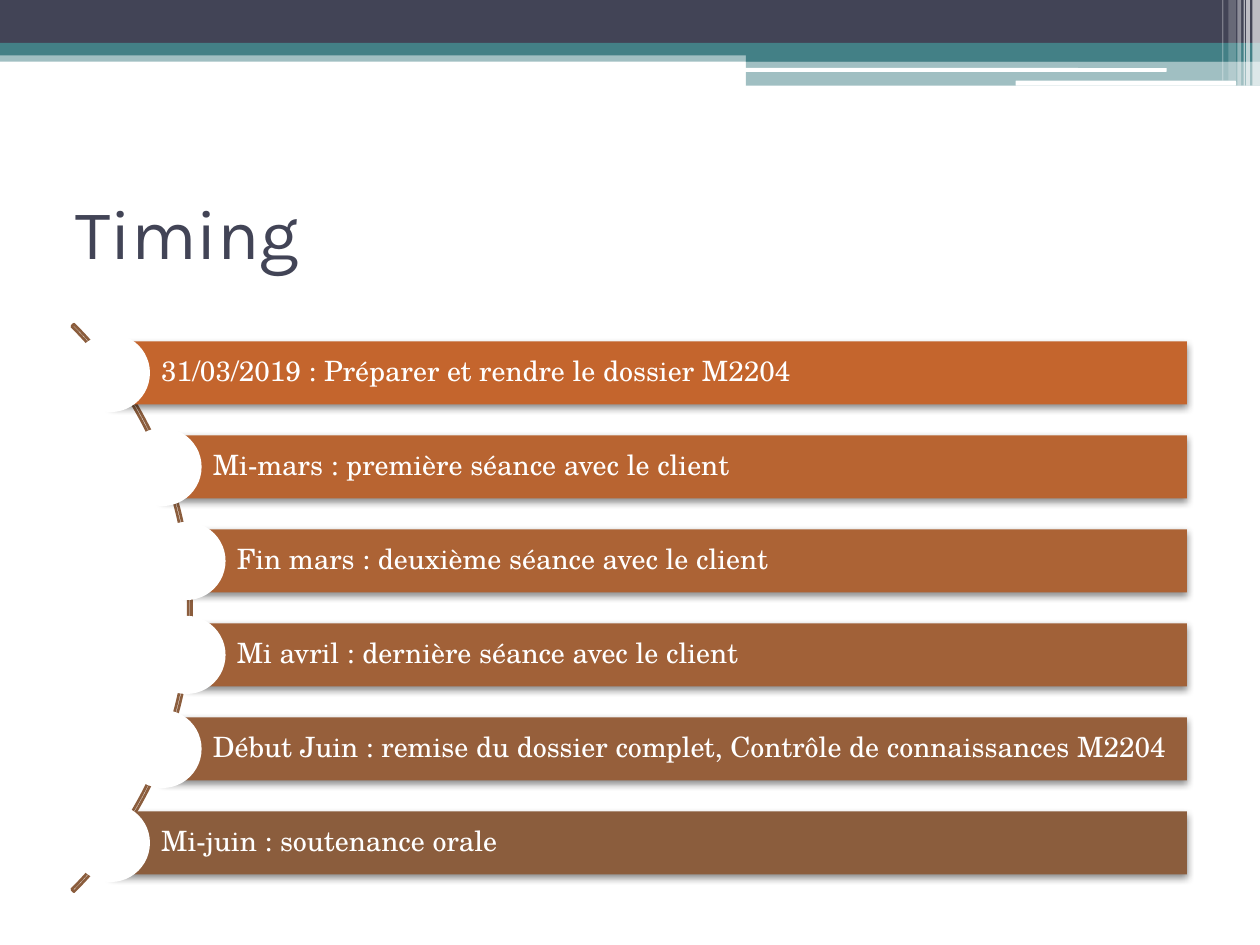
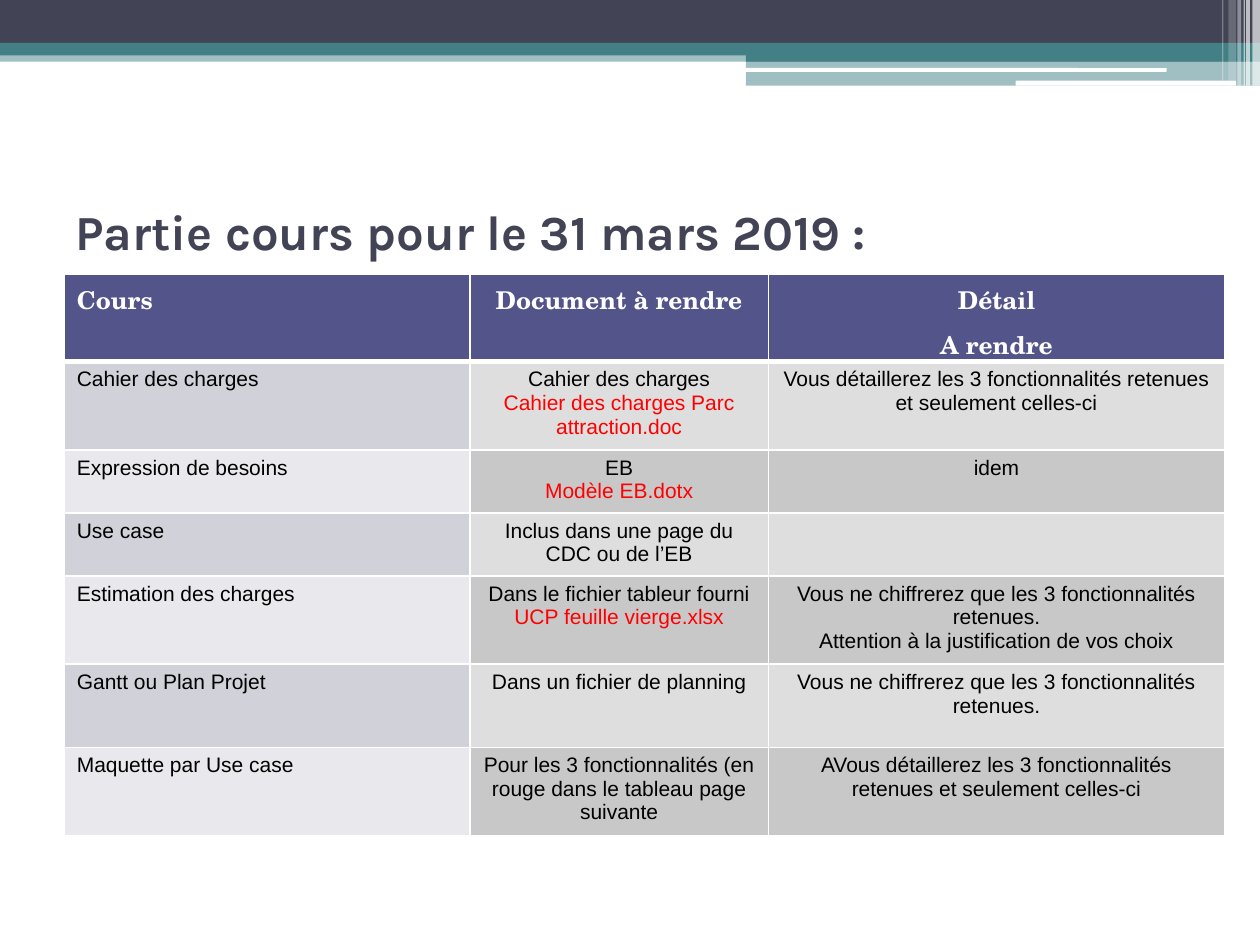
from pptx import Presentation
from pptx.dml.color import RGBColor
from pptx.enum import shapes, text
from pptx.oxml import parse_xml
from pptx.oxml.ns import nsdecls
from pptx.util import Inches, Pt

WHITE, INK, TEAL, RED, BLACK = "FFFFFF", "424456", "438086", "FF0000", "000000"
HEAD_FONT, BODY_FONT, CELL_FONT = "Karla", "TeX Gyre Schola", "Arial"
RECT, ROUND = shapes.MSO_SHAPE.RECTANGLE, shapes.MSO_SHAPE.ROUNDED_RECTANGLE
LEFT, CENTER = text.PP_ALIGN.LEFT, text.PP_ALIGN.CENTER

BANDS = [
    (RECT, (0, 0.4, 10, 0.09), TEAL, 50),
    (RECT, (0, 0, 10, 0.34), INK, 100),
    (RECT, (0, 0.34, 10, 0.1), TEAL, 100),
    (RECT, (5.92, 0.39, 4.08, 0.1), TEAL, 100),
    (RECT, (5.92, 0.48, 4.08, 0.2), TEAL, 50),
    (ROUND, (5.91, 0.54, 3.35, 0.03), WHITE, 100),
    (ROUND, (8.06, 0.64, 1.75, 0.04), WHITE, 100),
]
STRIPES = [
    (9.94, 0.06, 0.68, 65),
    (9.89, 0.03, 0.68, 65),
    (9.87, 0.01, 0.68, 60),
    (9.82, 0.03, 0.68, 40),
    (9.75, 0.06, 0.64, 20),
    (9.7, 0.01, 0.64, 30),
]
STEPS = [
    ("31/03/2019 : Préparer et rendre le dossier M2204", "C4652D"),
    ("Mi-mars : première séance avec le client", "B86431"),
    ("Fin mars : deuxième séance avec le client", "AC6335"),
    ("Mi avril : dernière séance avec le client", "A16138"),
    ("Début Juin : remise du dossier complet, Contrôle de connaissances M2204", "965F3B"),
    ("Mi-juin : soutenance orale", "8B5D3D"),
]
INDENTS = (0.31, 0.72, 0.91, 0.91, 0.72, 0.31)
HEADER = (["Cours"], ["Document à rendre"], ["Détail", "A rendre"])
COURSES = [
    (["Cahier des charges"],
     ["Cahier des charges", ("Cahier des charges Parc attraction.doc", RED)],
     ["Vous détaillerez les 3 fonctionnalités retenues et seulement celles-ci"]),
    (["Expression de besoins"], ["EB", ("Modèle EB.dotx", RED)], ["idem"]),
    (["Use case"], ["Inclus dans une page du CDC ou de l’EB"], []),
    (["Estimation des charges"],
     ["Dans le fichier tableur fourni", ("UCP feuille vierge.xlsx", RED)],
     ["Vous ne chiffrerez que les 3 fonctionnalités retenues.",
      "Attention à la justification de vos choix"]),
    (["Gantt ou Plan Projet"], ["Dans un fichier de planning"],
     ["Vous ne chiffrerez que les 3 fonctionnalités retenues."]),
    (["Maquette par Use case"],
     ["Pour les 3 fonctionnalités (en rouge dans le tableau page suivante"],
     ["AVous détaillerez les 3 fonctionnalités retenues et seulement celles-ci"]),
]
COL_WIDTHS = (3.22, 2.37, 3.62)
ROW_HEIGHTS = (0.69, 0.66, 0.47, 0.47, 0.66, 0.66, 0.66)


def rgb(value):
    """Turn a hex string into a colour."""
    return RGBColor.from_string(value)


def set_all(target, values):
    """Set each named attribute on the target."""
    for name, value in values.items():
        setattr(target, name, value)


def add_shape(s, kind, box, fill=None, alpha=100):
    """Add a flat shape without a line."""
    sp = s.shapes.add_shape(kind, *map(Inches, box))
    sp.shadow.inherit = False
    sp.line.fill.background()
    if fill is None:
        sp.fill.background()
    else:
        sp.fill.solid()
        sp.fill.fore_color.rgb = rgb(fill)
    if alpha < 100:
        clr = sp.fill._xPr.find(".//{*}srgbClr")
        clr.append(parse_xml(f'<a:alpha {nsdecls("a")} val="{alpha * 1000}"/>'))
    return sp


def write(tf, lines, font, size, color, bold=False, **layout):
    """Write paragraphs; a line may carry its own colour."""
    for i, line in enumerate(lines):
        words, tint = line if isinstance(line, tuple) else (line, color)
        p = tf.paragraphs[0] if i == 0 else tf.add_paragraph()
        set_all(p, layout)
        r = p.add_run()
        r.text = words
        set_all(r.font, {"name": font, "size": Pt(size), "bold": bold})
        r.font.color.rgb = rgb(tint)


def add_bands(s):
    """Draw the layered bands and the stripes at the top right."""
    for kind, box, fill, alpha in BANDS:
        add_shape(s, kind, box, fill, alpha)
    for x, width, height, alpha in STRIPES:
        add_shape(s, RECT, (x, 0, width, height), WHITE, alpha)


def add_title(s, words, size, bold=False, box=(0.5, 1.25, 9, 1.17)):
    """Add the slide title."""
    tf = s.shapes.add_textbox(*map(Inches, box)).text_frame
    set_all(tf, {"word_wrap": True, "vertical_anchor": text.MSO_ANCHOR.MIDDLE})
    write(tf, [words], HEAD_FONT, size, INK, bold)


def add_step(s, words, fill, box, dot=0.62):
    """Draw one shadowed bar with a white dot centred on its left edge."""
    x, y, width, height = box
    bar = add_shape(s, RECT, box, fill)
    effects = bar._element.spPr.find("{*}effectLst")
    effects.append(parse_xml(
        f'<a:outerShdw {nsdecls("a")} blurRad="{Pt(4)}" dist="{Pt(2)}" dir="5400000" '
        'rotWithShape="0"><a:srgbClr val="000000"><a:alpha val="45000"/></a:srgbClr>'
        '</a:outerShdw>'))
    tf = bar.text_frame
    edge = Inches(0.04)
    set_all(tf, {"word_wrap": True, "vertical_anchor": text.MSO_ANCHOR.MIDDLE,
                 "margin_left": Inches(0.4), "margin_right": edge,
                 "margin_top": edge, "margin_bottom": edge})
    write(tf, [words], BODY_FONT, 16, WHITE, alignment=LEFT, line_spacing=0.9)
    add_shape(s, shapes.MSO_SHAPE.OVAL,
              (x - dot / 2, y + height / 2 - dot / 2, dot, dot), WHITE)


def add_timeline(s, box, bar_height=0.5):
    """Draw the arc and the evenly spaced steps that follow it."""
    x, y, width, height = box
    size = 6.37
    arc = add_shape(s, shapes.MSO_SHAPE.BLOCK_ARC,
                    (x + 0.95 - size, y + height / 2 - size / 2, size, size))
    for i, value in enumerate((189, 27, 0.004)):
        arc.adjustments[i] = value
    arc.line.color.rgb = rgb(STEPS[-1][1])
    arc.line.width = Pt(1.5)
    pitch = (height - bar_height) / (len(STEPS) - 1)
    for i, ((words, fill), indent) in enumerate(zip(STEPS, INDENTS)):
        add_step(s, words, fill,
                 (x + indent, y + i * pitch, width - indent, bar_height))


def set_borders(cell, top, bottom):
    """Give a cell white borders, with widths in points."""
    tc_pr = cell._tc.get_or_add_tcPr()
    for i, (side, width) in enumerate(zip("LRTB", (1, 1, top, bottom))):
        tc_pr.insert(i, parse_xml(
            f'<a:ln{side} {nsdecls("a")} w="{Pt(width)}"><a:solidFill>'
            f'<a:srgbClr val="{WHITE}"/></a:solidFill></a:ln{side}>'))


def add_course_table(s, box):
    """Build the table of courses and documents."""
    rows = [HEADER] + COURSES
    table = s.shapes.add_table(len(rows), len(COL_WIDTHS), *map(Inches, box)).table
    for col, width in zip(table.columns, COL_WIDTHS):
        col.width = Inches(width)
    for row, height in zip(table.rows, ROW_HEIGHTS):
        row.height = Inches(height)
    for i, row in enumerate(rows):
        for j, lines in enumerate(row):
            cell = table.cell(i, j)
            align = CENTER if j else LEFT
            if i == 0:
                fill = "53548A"
                write(cell.text_frame, lines, BODY_FONT, 14, WHITE, True,
                      alignment=align, space_before=Pt(4))
            else:
                fill = (("E9E9ED", "C8C8C8"), ("D1D1DA", "DEDEDE"))[i % 2][j > 0]
                write(cell.text_frame, lines, CELL_FONT, 12, BLACK, alignment=align)
            cell.fill.solid()
            cell.fill.fore_color.rgb = rgb(fill)
            set_borders(cell, 3 if i == 1 else 1, 3 if i == 0 else 1)


def add_slide(prs, title, size, bold=False):
    """Add a slide with its bands and title."""
    s = prs.slides.add_slide(prs.slide_layouts[6])
    add_bands(s)
    add_title(s, title, size, bold)
    return s


def main():
    """Build and save both slides."""
    prs = Presentation()
    set_all(prs, {"slide_width": Inches(10), "slide_height": Inches(7.5)})
    add_timeline(add_slide(prs, "Timing", 40), (0.57, 2.71, 8.85, 4.23))
    s = add_slide(prs, "Partie cours pour le 31 mars 2019 :", 28, True)
    add_course_table(s, (0.51, 2.18, sum(COL_WIDTHS), sum(ROW_HEIGHTS)))
    prs.save("out.pptx")


if __name__ == "__main__":
    main()
